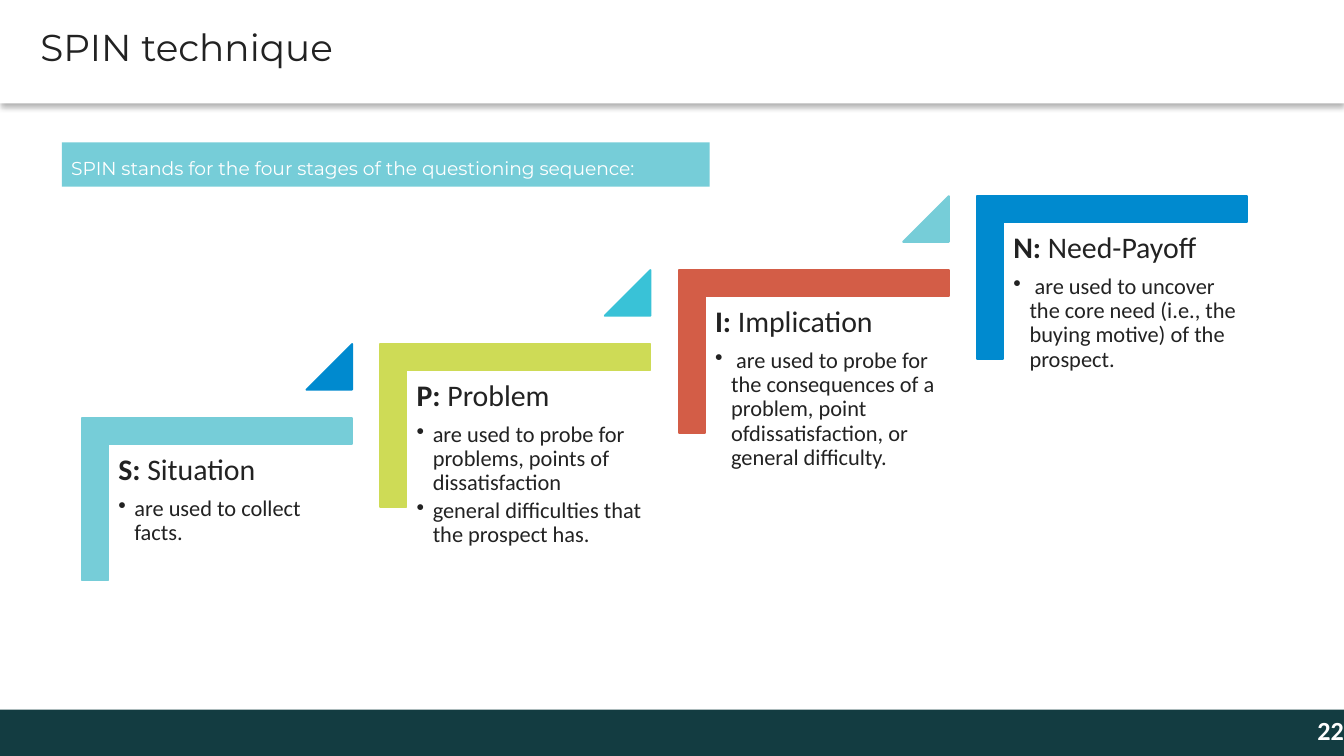
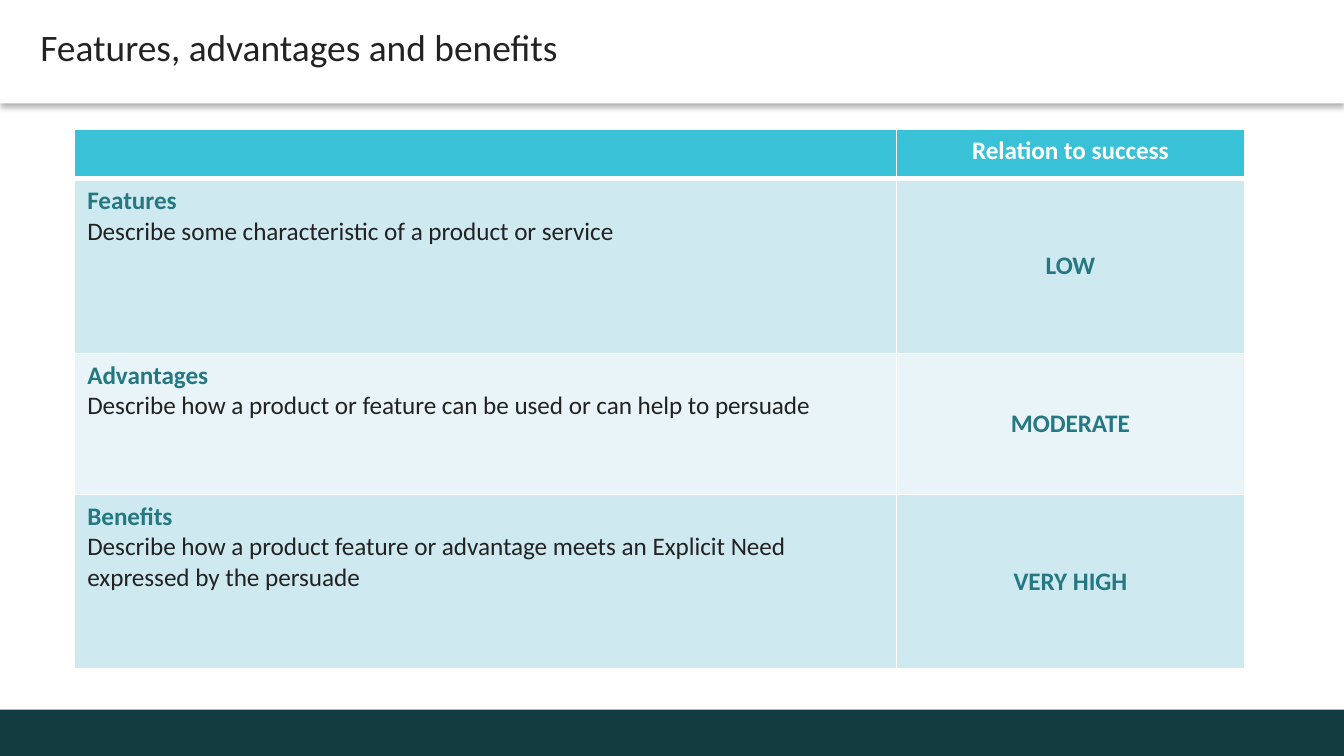
import lxml.etree
import pptx
import pptx.dml.color
import pptx.enum.shapes
import pptx.enum.text
import pptx.oxml.ns
import pptx.util

RGB = pptx.dml.color.RGBColor
SHAPE = pptx.enum.shapes.MSO_SHAPE
ALIGN = pptx.enum.text.PP_ALIGN
MIDDLE = pptx.enum.text.MSO_ANCHOR.MIDDLE
Pt = pptx.util.Pt

WHITE = RGB(0xFF, 0xFF, 0xFF)
INK = RGB(0x22, 0x22, 0x22)
DEEP_TEAL = RGB(0x13, 0x3C, 0x41)
TEAL = RGB(0x25, 0x78, 0x82)
AQUA = RGB(0x76, 0xCD, 0xD8)
CYAN = RGB(0x39, 0xC2, 0xD7)
BLUE = RGB(0x00, 0x8A, 0xCF)
LIME = RGB(0xCE, 0xDB, 0x56)
CORAL = RGB(0xD3, 0x5D, 0x47)
PALE = RGB(0xCE, 0xE9, 0xF0)
PALEST = RGB(0xE8, 0xF4, 0xF8)

# Square grid: 100 columns by 56.25 rows
WIDTH = pptx.util.Inches(10)
HEIGHT = WIDTH * 9 // 16
UNIT = WIDTH / 100

STEP_X, STEP_Y = 22.2, -5.5
ARM_WIDTH, ARM_HEIGHT = 20.1, 12.1

STAGES = [
    ("S:", "Situation", AQUA, BLUE, ["are used to collect facts."]),
    ("P:", "Problem", LIME, CYAN,
     ["are used to probe for problems, points of dissatisfaction",
      "general difficulties that the prospect has."]),
    ("I:", "Implication", CORAL, AQUA,
     [" are used to probe for the consequences of a problem, point "
      "ofdissatisfaction, or general difficulty."]),
    ("N:", "Need-Payoff", BLUE, None,
     [" are used to uncover the core need (i.e., the buying motive) "
      "of the prospect."]),
]

RELATIONS = [
    ("Features", "Describe some characteristic of a product or service",
     "LOW", PALE),
    ("Advantages", "Describe how a product or feature can be used or can "
     "help to persuade", "MODERATE", PALEST),
    ("Benefits", "Describe how a product feature or advantage meets an "
     "Explicit Need expressed by the persuade", "VERY HIGH", PALE),
]


def grid(*counts):
    return [round(count * UNIT) for count in counts]


def apply(target, values):
    for name, value in values.items():
        setattr(target, name, value)


def node(parent, tag, **attributes):
    return lxml.etree.SubElement(parent, pptx.oxml.ns.qn(tag), attributes)


# Text
def write(para, spans, bullet=None, **layout):
    """Fill a paragraph with (text, size, colour, bold, font) spans."""
    if bullet is not None:
        props = para._p.get_or_add_pPr()
        hang = grid(1.2)[0] if bullet else 0
        props.set("marL", str(hang))
        props.set("indent", str(-hang))
        if bullet:
            node(props, "a:buChar", char=bullet)
        else:
            node(props, "a:buNone")
    apply(para, layout)
    for text, size, color, bold, font in spans:
        span = para.add_run()
        span.text = text
        apply(span.font, {"size": Pt(size), "bold": bold, "name": font})
        span.font.color.rgb = color


def set_frame(box, margins, anchor=None):
    names = ("margin_left", "margin_top", "margin_right", "margin_bottom")
    frame = box.text_frame
    apply(frame, dict(zip(names, grid(*margins))))
    apply(frame, {"word_wrap": True, "vertical_anchor": anchor,
                  "auto_size": pptx.enum.text.MSO_AUTO_SIZE.NONE})
    return frame


# Shapes
def add_solid(page, preset, place, color, outlined=True):
    shape = page.shapes.add_shape(preset, *grid(*place))
    shape.shadow.inherit = False
    shape.fill.solid()
    shape.fill.fore_color.rgb = color
    if outlined:
        shape.line.color.rgb = color
        shape.line.width = Pt(1)
    else:
        shape.line.fill.background()
    return shape


def fill_placeholder(box, place, color, margins, text, size, ink, font):
    apply(box, dict(zip(("left", "top", "width", "height"), grid(*place))))
    box.fill.solid()
    box.fill.fore_color.rgb = color
    frame = set_frame(box, margins, MIDDLE)
    write(frame.paragraphs[0], [(text, size, ink, False, font)], bullet="",
          alignment=ALIGN.LEFT, line_spacing=Pt(16),
          space_before=Pt(0), space_after=Pt(3))


def add_page(deck, layout, title, font):
    page = deck.slides.add_slide(deck.slide_layouts[layout])
    box = page.shapes.title
    fill_placeholder(box, (0, 0, 100, 7.7), WHITE, (3, 0.8, 0.7, 0.4),
                     title, 20, INK, font)
    effects = node(box.element.spPr, "a:effectLst")
    shadow = node(effects, "a:outerShdw", blurRad=str(Pt(3.1)),
                  dist=str(Pt(2)), dir="5400000", rotWithShape="0")
    tint = node(shadow, "a:srgbClr", val="000000")
    node(tint, "a:alpha", val="30000")
    return page


def share_footer(deck, page):
    """Move the footer band to the master, behind everything."""
    band = add_solid(page, SHAPE.RECTANGLE, (0, 52.8, 100, 3.45), DEEP_TEAL,
                     outlined=False)
    deck.slide_master.element.cSld.spTree.insert(2, band.element)


# Staircase
def add_stage(page, index, letter, name, color, marker, points):
    left = 6.1 + index * STEP_X
    top = 31.1 + index * STEP_Y
    turn = (ARM_WIDTH - ARM_HEIGHT) / 2
    arm = add_solid(page, SHAPE.CORNER,
                    (left + turn, top - turn, ARM_HEIGHT, ARM_WIDTH), color)
    arm.rotation = 90
    arm.adjustments[0] = arm.adjustments[1] = 0.16

    box = page.shapes.add_textbox(*grid(left + 2, top + 2, 18.2, 15.9))
    frame = set_frame(box, (0.7,) * 4)
    write(frame.paragraphs[0], [(letter, 16, INK, True, "Calibri"),
                                (" " + name, 16, INK, False, "Calibri")],
          line_spacing=0.9, space_after=Pt(5.6))
    for point in points:
        write(frame.add_paragraph(), [(point, 12, INK, False, "Calibri")],
              bullet="•", line_spacing=0.9, space_after=Pt(1.8))

    if marker is not None:
        triangle = add_solid(page, SHAPE.ISOSCELES_TRIANGLE,
                             (left + 16.7, top + STEP_Y, 3.4, 3.4), marker)
        triangle.adjustments[0] = 1


def add_page_number(page, number):
    box = page.shapes.add_textbox(*grid(85, 52.8, 15, 3.45))
    frame = set_frame(box, (1, 0.5, 0, 0.9), MIDDLE)
    write(frame.paragraphs[0],
          [(number, 14, RGB(0xFE, 0xFE, 0xFE), True, "Calibri")],
          alignment=ALIGN.RIGHT)


# Table
def format_cell(cell, color, lines, bottom=1, **layout):
    """Write one paragraph per (text, colour, bold) line."""
    props = cell._tc.get_or_add_tcPr()
    for side, width in (("L", 1), ("R", 1), ("T", 1), ("B", bottom)):
        border = node(props, "a:ln" + side, w=str(Pt(width)))
        node(node(border, "a:solidFill"), "a:srgbClr", val=str(WHITE))
    cell.fill.solid()
    cell.fill.fore_color.rgb = color
    frame = cell.text_frame
    for index, (text, ink, bold) in enumerate(lines):
        para = frame.add_paragraph() if index else frame.paragraphs[0]
        write(para, [(text, 13.5, ink, bold, "Calibri")], **layout)
    if not lines:
        node(frame.paragraphs[0]._p, "a:endParaRPr", sz="1350")


def add_relations(page):
    widths, heights = (61.2, 25.9), (3.7, 13, 10.5, 13)
    table = page.shapes.add_table(
        len(heights), len(widths),
        *grid(5.5, 9.6, sum(widths), sum(heights))).table
    table.horz_banding = False
    for column, width in zip(table.columns, grid(*widths)):
        column.width = width
    for row, height in zip(table.rows, grid(*heights)):
        row.height = height

    format_cell(table.cell(0, 0), CYAN, [], bottom=3)
    format_cell(table.cell(0, 1), CYAN, [("Relation to success", WHITE, True)],
                bottom=3, alignment=ALIGN.CENTER)
    for row, (name, meaning, level, color) in enumerate(RELATIONS, 1):
        format_cell(table.cell(row, 0), color,
                    [(name, TEAL, True), (meaning, INK, False)])
        rating = table.cell(row, 1)
        format_cell(rating, color, [(level, TEAL, True)],
                    alignment=ALIGN.CENTER)
        rating.vertical_anchor = MIDDLE


def main():
    deck = pptx.Presentation()
    apply(deck, {"slide_width": WIDTH, "slide_height": HEIGHT})

    # SPIN stages
    page = add_page(deck, 1, "SPIN technique", "Montserrat")
    share_footer(deck, page)
    fill_placeholder(page.placeholders[1], (4.6, 10.6, 48.2, 3.3), AQUA,
                     (0.7, 0.6, 0.7, 0.6),
                     "SPIN stands for the four stages of the questioning "
                     "sequence:", 10, WHITE, "Montserrat")
    for index, stage in enumerate(STAGES):
        add_stage(page, index, *stage)
    add_page_number(page, "22")

    # Relation to success
    page = add_page(deck, 5, "Features, advantages and benefits", "Calibri")
    add_relations(page)

    deck.save("out.pptx")


if __name__ == "__main__":
    main()
